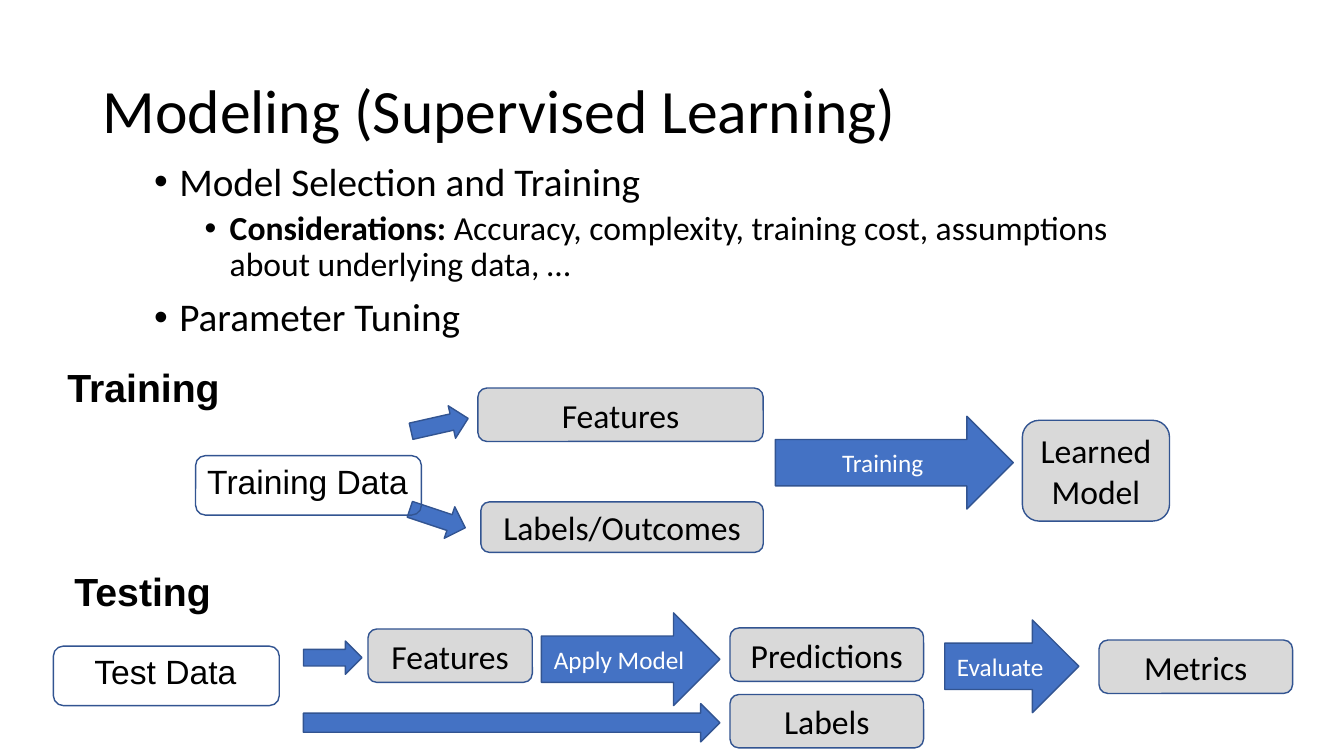
from lxml import etree
from pptx import Presentation
from pptx.dml.color import RGBColor
from pptx.enum.shapes import MSO_SHAPE
from pptx.enum.text import MSO_ANCHOR, MSO_AUTO_SIZE, PP_ALIGN
from pptx.oxml.ns import qn
from pptx.util import Inches, Pt

ROUND, ARROW = MSO_SHAPE.ROUNDED_RECTANGLE, MSO_SHAPE.RIGHT_ARROW
MID, CENTER, GROW = MSO_ANCHOR.MIDDLE, PP_ALIGN.CENTER, MSO_AUTO_SIZE.SHAPE_TO_FIT_TEXT
BLACK, WHITE, GREY, BLUE, EDGE = "000000", "FFFFFF", "D9D9D9", "4472C4", "325491"

deck = Presentation()
deck.slide_width, deck.slide_height = Inches(13.33), Inches(7.5)
unit = deck.slide_height / 75  # square grid: 75 rows, 133.3 columns
slide = deck.slides.add_slide(deck.slide_layouts[6])
shapes = slide.shapes


def write(par, text, size, font="Calibri", color=BLACK, bold=False):
    run = par.add_run()
    run.text = text
    run.font.size, run.font.name, run.font.bold = Pt(size), font, bold
    run.font.color.rgb = RGBColor.from_string(color)


def draw(kind, cells, fill=None, text="", size=24, color=BLACK):
    """Add an outlined preset shape at (column, row, columns, rows)."""
    shape = shapes.add_shape(kind, *[round(n * unit) for n in cells])
    shape.shadow.inherit = False
    if fill:
        shape.fill.solid()
        shape.fill.fore_color.rgb = RGBColor.from_string(fill)
    else:
        shape.fill.background()
    shape.line.color.rgb = RGBColor.from_string(EDGE)
    shape.line.width = Pt(1)
    if text:
        frame = shape.text_frame
        frame.word_wrap, frame.vertical_anchor = True, MID
        frame.paragraphs[0].alignment = CENTER
        write(frame.paragraphs[0], text, size, color=color)
    return shape


# Bullets: left margin in inches, space before, size, runs of (text, bold)
bullets = [
    (0.25, 10, 28, [("Model Selection and Training", False)]),
    (0.75, 5, 24, [
        ("Considerations: ", True),
        ("Accuracy, complexity, training cost, assumptions about underlying data, …", False),
    ]),
    (0.25, 10, 28, [("Parameter Tuning", False)]),
]
body = shapes.add_textbox(*[round(n * unit) for n in (14.3, 15.6, 100.5, 21.2)]).text_frame
body.word_wrap = True
for i, (left, gap, size, runs) in enumerate(bullets):
    par = body.add_paragraph() if i else body.paragraphs[0]
    par.line_spacing, par.space_before = 0.9, Pt(gap)
    par.level = 1 if left > 0.5 else 0
    props = par._p.get_or_add_pPr()
    props.set("marL", str(Inches(left)))
    props.set("indent", str(Inches(-0.25)))
    etree.SubElement(props, qn("a:buFont")).set("typeface", "Arial")
    etree.SubElement(props, qn("a:buChar")).set("char", "•")
    for text, bold in runs:
        write(par, text, size, bold=bold)

title = shapes.add_textbox(*[round(n * unit) for n in (9.2, 4, 115, 14.5)]).text_frame
title.word_wrap, title.vertical_anchor = True, MID
title.paragraphs[0].line_spacing = 0.9
write(title.paragraphs[0], "Modeling (Supervised Learning)", 44)

# Section heads and data captions
labels = [
    ("Training", (5.7, 35.6, 17.3, 5.7), 28, True),
    ("Testing", (6.4, 55.8, 15.7, 5.7), 28, True),
    ("Training Data", (19.1, 45.2, 22.8, 5), 24, False),
    ("Test Data", (5, 64.1, 22.8, 5), 24, False),
]
for text, cells, size, head in labels:
    frame = shapes.add_textbox(*[round(n * unit) for n in cells]).text_frame
    frame.word_wrap, frame.auto_size = not head, GROW
    if not head:
        frame.paragraphs[0].alignment = CENTER
    write(frame.paragraphs[0], text, size, "Arial", bold=head)

# Grey result boxes
boxes = [
    ("Labels/Outcomes", (47.7, 49.8, 28, 5)),
    ("Features", (47.4, 38.5, 28.3, 5.3)),
    ("Learned Model", (101.4, 41.7, 14.6, 10)),
    ("Predictions", (72.4, 62.3, 19.2, 5.3)),
    ("Features", (36.5, 62.4, 16.3, 5.3)),
    ("Labels", (72.4, 68.9, 19.2, 5.3)),
    ("Metrics", (109, 63.5, 19.2, 5.3)),
]
for text, cells in boxes:
    draw(ROUND, cells, GREY, text)

# Arrows, with their turn in degrees
arrows = [
    ("", (40.5, 49.8, 5.8, 3.3), 18.4),
    ("", (40.7, 40.5, 5.8, 3.3), 347.3),
    ("Training", (76.9, 41.3, 23.6, 9.2), 0),
    ("Apply Model", (53.7, 60.8, 17.7, 9.2), 0),
    ("", (30.1, 63.6, 5.8, 3.3), 0),
    ("", (30.1, 69.8, 41.3, 3.8), 0),
    ("Evaluate", (93.7, 61.5, 13.3, 9.2), 0),
]
for text, cells, turn in arrows:
    draw(ARROW, cells, BLUE, text, 18, WHITE).rotation = turn

# Outlines around the two data captions
for col, row in [(19.4, 45.2), (5.3, 64.1)]:
    draw(ROUND, (col, row, 22.4, 5.9))

deck.save("out.pptx")
